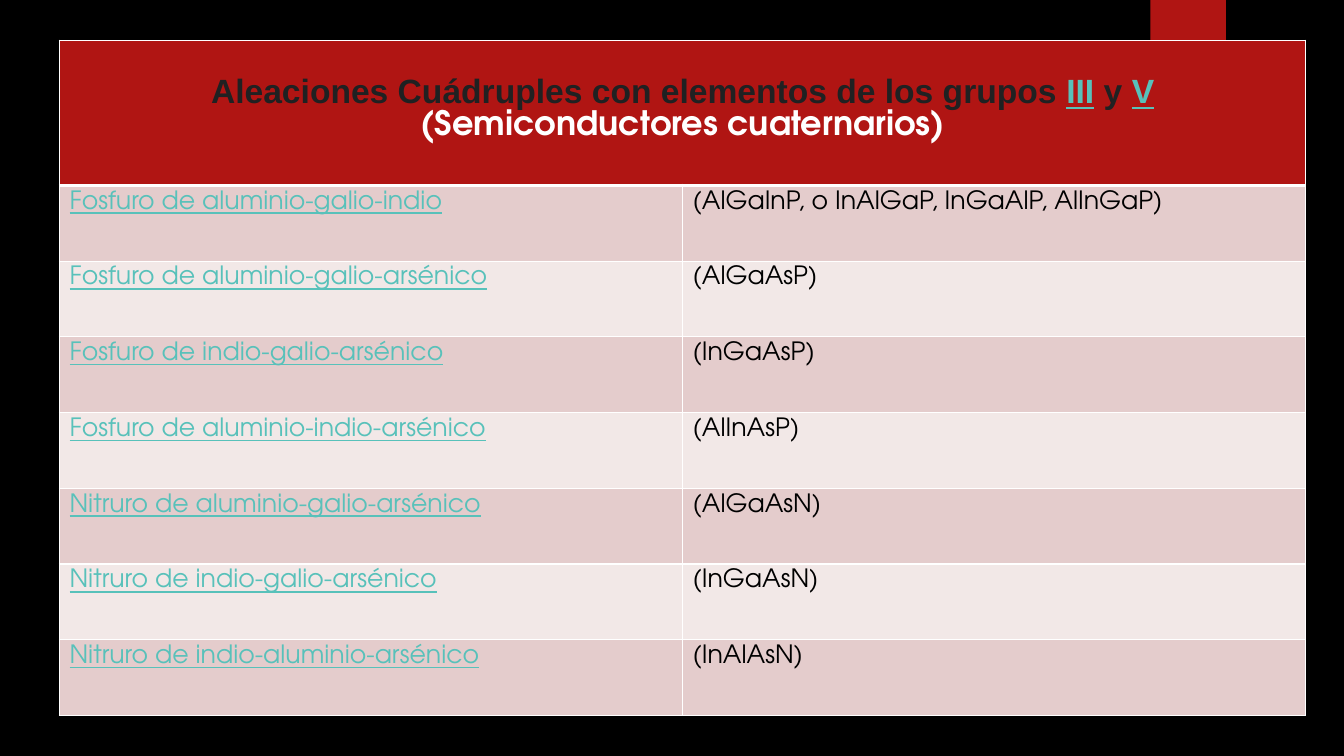
import pptx
import pptx.util
import pptx.dml.color
import pptx.enum.shapes
import pptx.enum.text
from dataclasses import dataclass
from lxml import etree
from pptx.util import Inches, Pt


@dataclass(frozen=True)
class Theme:
    back: str = "000000"
    red: str = "B01513"
    link: str = "58C1BA"
    dark: str = "202122"
    text: str = "000000"
    white: str = "FFFFFF"
    bands: tuple = ("E4CCCC", "F2E8E7")
    font: str = "TeX Gyre Adventor"
    sans: str = "Arial"
    head: int = 24
    body: int = 18


THEME = Theme()
ALLOYS = [
    ("Fosfuro de aluminio-galio-indio", "(AlGaInP, o InAlGaP, InGaAlP, AlInGaP)"),
    ("Fosfuro de aluminio-galio-arsénico", "(AlGaAsP)"),
    ("Fosfuro de indio-galio-arsénico", "(InGaAsP)"),
    ("Fosfuro de aluminio-indio-arsénico", "(AlInAsP)"),
    ("Nitruro de aluminio-galio-arsénico", "(AlGaAsN)"),
    ("Nitruro de indio-galio-arsénico", "(InGaAsN)"),
    ("Nitruro de indio-aluminio-arsénico", "(InAlAsN)"),
]


def paint(fill, color):
    fill.solid()
    fill.fore_color.rgb = pptx.dml.color.RGBColor.from_string(color)


def style(run, size, color, face=THEME.font, bold=False, line=False):
    font = run.font
    font.name, font.size, font.bold, font.underline = face, Pt(size), bold, line
    paint(font.fill, color)


def edge(cell, base=1):
    """Draw white cell borders; base is the width of the bottom one."""
    props = cell._tc.get_or_add_tcPr()
    for side, width in (("L", 1), ("R", 1), ("T", 1), ("B", base)):
        line = etree.SubElement(props, pptx.oxml.ns.qn(f"a:ln{side}"), w=str(Pt(width)))
        solid = etree.SubElement(line, pptx.oxml.ns.qn("a:solidFill"))
        etree.SubElement(solid, pptx.oxml.ns.qn("a:srgbClr"), val=THEME.white)


def add_tab(slide, left, top, width, height):
    kind = pptx.enum.shapes.MSO_SHAPE.RECTANGLE
    tab = slide.shapes.add_shape(kind, left, top, width, height)
    tab.shadow.inherit = False
    paint(tab.fill, THEME.red)
    tab.line.fill.background()


def fill_head(table):
    for cell in table.rows[0].cells:
        edge(cell, 3)
        paint(cell.fill, THEME.red)
    head = table.cell(0, 0)
    head.merge(table.cell(0, 1))
    head.margin_top = Inches(0.33)
    title = head.text_frame.paragraphs[0]
    parts = [
        ("Aleaciones Cuádruples con elementos de los grupos ", False),
        ("III", True), (" y ", False), ("V", True),
    ]
    for text, link in parts:
        run = title.add_run()
        run.text = text
        color = THEME.link if link else THEME.dark
        style(run, THEME.head, color, THEME.sans, True, link)
    note = head.text_frame.add_paragraph()
    note.text = "(Semiconductores cuaternarios)"
    style(note.runs[0], THEME.head, THEME.white, bold=True)
    for para in (title, note):
        para.alignment = pptx.enum.text.PP_ALIGN.CENTER


def add_alloys(slide, left, top, width, height):
    frame = slide.shapes.add_table(len(ALLOYS) + 1, 2, left, top, width, height)
    table = frame.table
    first = Inches(1.44)
    table.rows[0].height = first
    fill_head(table)
    for row, names in enumerate(ALLOYS, 1):
        table.rows[row].height = (height - first) // len(ALLOYS)
        for col, name in enumerate(names):
            cell = table.cell(row, col)
            edge(cell)
            paint(cell.fill, THEME.bands[(row - 1) % 2])
            cell.margin_top = cell.margin_bottom = Inches(0.05)
            cell.text_frame.text = name
            link = col == 0
            color = THEME.link if link else THEME.text
            style(cell.text_frame.paragraphs[0].runs[0], THEME.body, color, line=link)


def main():
    deck = pptx.Presentation()
    deck.slide_width, deck.slide_height = Inches(13.33), Inches(7.5)
    slide = deck.slides.add_slide(deck.slide_layouts[6])
    paint(slide.background.fill, THEME.back)
    add_tab(slide, Inches(11.41), 0, Inches(0.75), Inches(1.25))
    add_alloys(slide, Inches(0.59), Inches(0.4), Inches(12.36), Inches(6.7))
    deck.save("out.pptx")


if __name__ == "__main__":
    main()
